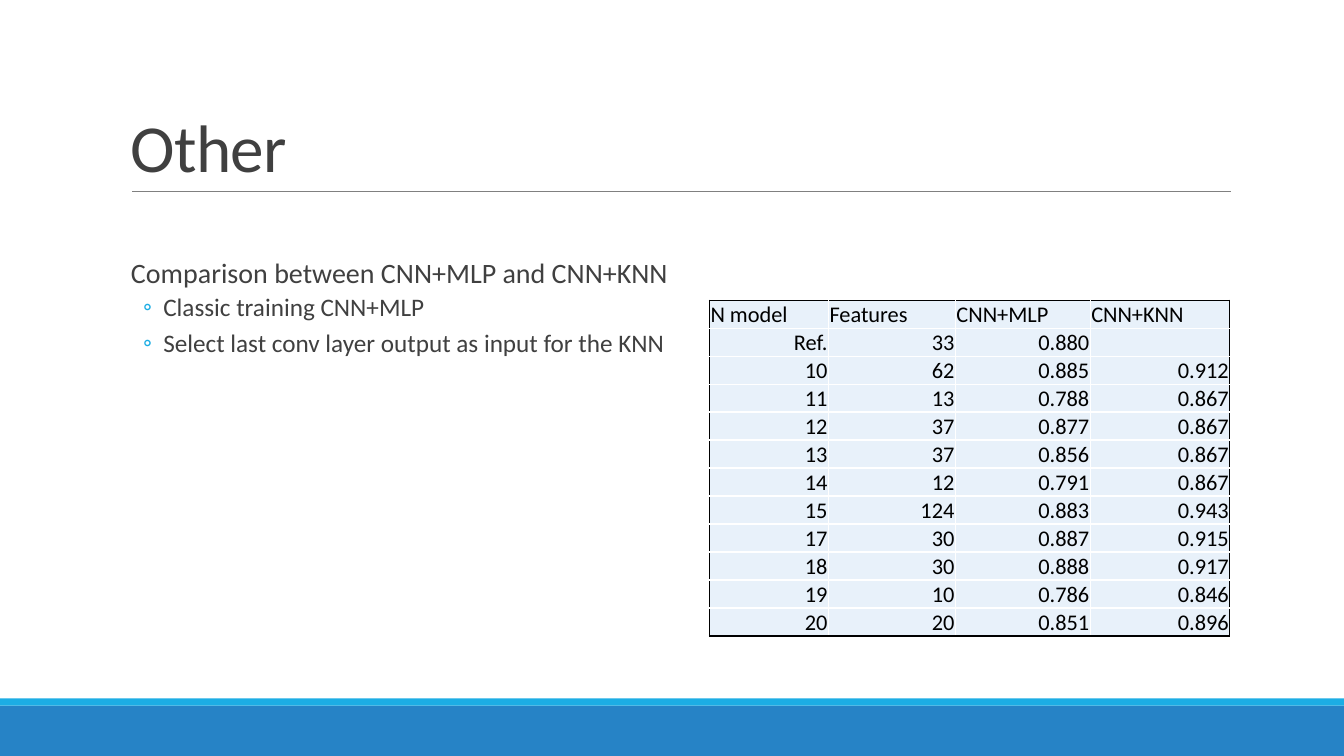
from lxml import etree
from pptx import Presentation
from pptx.dml.color import RGBColor
from pptx.enum import shapes, text
from pptx.oxml import ns
from pptx.util import Pt

BLUE = RGBColor(0x26, 0x83, 0xC6)
CYAN = RGBColor(0x1C, 0xAD, 0xE4)
GRAY = RGBColor(0x80, 0x80, 0x80)
DARK = RGBColor(0x40, 0x40, 0x40)
BLACK = RGBColor(0, 0, 0)
WHITE = RGBColor(0xFF, 0xFF, 0xFF)
PALE = RGBColor(0xE8, 0xF1, 0xFA)
FONT = "Calibri"

WIDTH, HEIGHT = 960, 540
COLUMN_WIDTHS = [85, 90.7, 96.3, 99.7]
ROW_HEIGHT = 20
RESULTS = [
    ["N model", "Features", "CNN+MLP", "CNN+KNN"],
    ["Ref.", "33", "0.880", ""],
    ["10", "62", "0.885", "0.912"],
    ["11", "13", "0.788", "0.867"],
    ["12", "37", "0.877", "0.867"],
    ["13", "37", "0.856", "0.867"],
    ["14", "12", "0.791", "0.867"],
    ["15", "124", "0.883", "0.943"],
    ["17", "30", "0.887", "0.915"],
    ["18", "30", "0.888", "0.917"],
    ["19", "10", "0.786", "0.846"],
    ["20", "20", "0.851", "0.896"],
]


def add_element(parent, tag, **attributes):
    return etree.SubElement(parent, ns.qn(tag), attributes)


def set_font(paragraph, size, color):
    font = paragraph.font
    font.name, font.size, font.bold = FONT, Pt(size), False
    font.color.rgb = color


def add_text_frame(slide, left, top, width, height):
    frame = slide.shapes.add_textbox(Pt(left), Pt(top), Pt(width), Pt(height)).text_frame
    frame.word_wrap = True
    return frame


def add_footer(slide, top, height, stripe):
    for color, bar_top, bar_height in ((BLUE, top + stripe, height - stripe), (CYAN, top, stripe)):
        bar = slide.shapes.add_shape(
            shapes.MSO_SHAPE.RECTANGLE, 0, Pt(bar_top), Pt(WIDTH), Pt(bar_height))
        bar.shadow.inherit = False
        bar.fill.solid()
        bar.fill.fore_color.rgb = color
        bar.line.fill.background()


def add_title(slide, left, top, width, height):
    bottom = top + height
    rule = slide.shapes.add_connector(
        shapes.MSO_CONNECTOR.STRAIGHT, Pt(left + 8), Pt(bottom), Pt(left + width + 0.7), Pt(bottom))
    rule.line.color.rgb = GRAY
    rule.line.width = Pt(0.5)
    add_element(rule._element.spPr, "a:effectLst")

    frame = add_text_frame(slide, left, top, width, height)
    frame.vertical_anchor = text.MSO_ANCHOR.BOTTOM
    paragraph = frame.paragraphs[0]
    paragraph.text = "Other"
    paragraph.line_spacing = 0.85
    set_font(paragraph, 48, DARK)
    paragraph._p.pPr.find(ns.qn("a:defRPr")).set("spc", "-50")


def add_body(slide, left, top, width, height):
    frame = add_text_frame(slide, left, top, width, height)
    frame.margin_left = frame.margin_right = 0
    frame.margin_top = Pt(39.6)
    heading = frame.paragraphs[0]
    heading.text = "Comparison between CNN+MLP and CNN+KNN"
    heading.line_spacing = 0.9
    heading.space_after = Pt(2)
    set_font(heading, 20, DARK)
    heading._p.pPr.set("marL", str(Pt(7.2)))

    for point in ("Classic training CNN+MLP", "Select last conv layer output as input for the KNN"):
        paragraph = frame.add_paragraph()
        paragraph.text = point
        paragraph.level = 1
        paragraph.line_spacing = 0.9
        paragraph.space_before, paragraph.space_after = Pt(2), Pt(4)
        properties = paragraph._p.get_or_add_pPr()
        properties.set("marL", str(Pt(30.24)))
        properties.set("indent", str(Pt(-14.4)))
        bullet_color = add_element(properties, "a:buClr")
        add_element(bullet_color, "a:srgbClr", val=str(CYAN))
        add_element(properties, "a:buFont", typeface=FONT)
        add_element(properties, "a:buChar", char="◦")
        set_font(paragraph, 18, DARK)


def set_borders(cell, colors):
    properties = cell._tc.get_or_add_tcPr()
    for index, (side, color) in enumerate(colors.items()):
        line = etree.Element(ns.qn(f"a:ln{side}"), w=str(Pt(1)))
        add_element(add_element(line, "a:solidFill"), "a:srgbClr", val=str(color))
        properties.insert(index, line)


def add_results_table(slide, left, top):
    row_count, column_count = len(RESULTS), len(COLUMN_WIDTHS)
    table = slide.shapes.add_table(
        row_count, column_count, Pt(left), Pt(top),
        Pt(sum(COLUMN_WIDTHS)), Pt(ROW_HEIGHT * row_count)).table
    table.first_row = table.horz_banding = False
    for column, width in zip(table.columns, COLUMN_WIDTHS):
        column.width = Pt(width)
    for r, values in enumerate(RESULTS):
        for c, value in enumerate(values):
            cell = table.cell(r, c)
            cell.fill.solid()
            cell.fill.fore_color.rgb = PALE
            cell.vertical_anchor = text.MSO_ANCHOR.BOTTOM
            cell.margin_left = cell.margin_right = cell.margin_top = Pt(0.75)
            cell.margin_bottom = 0
            paragraph = cell.text_frame.paragraphs[0]
            set_font(paragraph, 16, BLACK)
            if value:
                paragraph.text = value
            else:
                add_element(paragraph._p, "a:endParaRPr", sz="1600")
            if r:
                paragraph.alignment = text.PP_ALIGN.RIGHT
            set_borders(cell, {
                "L": WHITE if c else BLACK,
                "R": BLACK if c == column_count - 1 else WHITE,
                "T": WHITE if r else BLACK,
                "B": BLACK if r == row_count - 1 else WHITE,
            })


def main():
    presentation = Presentation()
    presentation.slide_width, presentation.slide_height = Pt(WIDTH), Pt(HEIGHT)
    slide = presentation.slides.add_slide(presentation.slide_layouts[6])
    add_footer(slide, 498.8, HEIGHT - 498.8, 5.2)
    add_title(slide, 86.4, 22.6, 792, 114)
    add_body(slide, 86.4, 145.4, 792, 316.8)
    add_results_table(slide, 506.8, 214.4)
    presentation.save("out.pptx")


if __name__ == "__main__":
    main()
